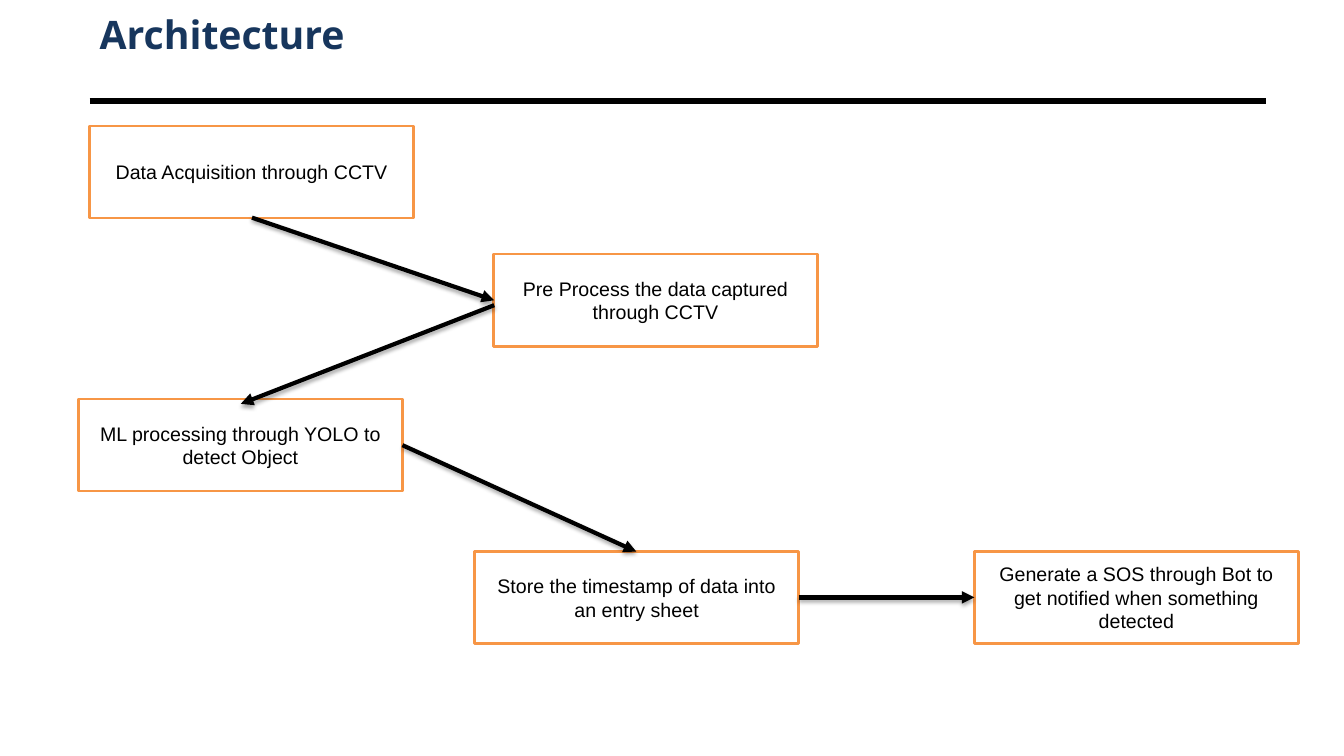
from lxml import etree
from pptx import Presentation
from pptx.dml.color import RGBColor
from pptx.enum import shapes, text
from pptx.oxml import ns
from pptx.util import Pt

COLORS = {"title": "17365D", "black": "000000", "box": "FFFFFF", "border": "F79646"}
BOX_W, BOX_H = 231.5, 65.75
STEPS = [
    ("Data Acquisition through CCTV", 64, 90),
    ("Pre Process the data captured through CCTV", 352.5, 181.5),
    ("ML processing through YOLO to detect Object", 56, 285),
    ("Store the timestamp of data into an entry sheet", 339, 394),
    ("Generate a SOS through Bot to get notified when something detected", 696, 394),
]
ARROWS = [
    (180, 155.5, 353, 214.5),
    (353, 218, 172, 288.5),
    (287.5, 318, 454.5, 394),
    (570.5, 426.75, 696, 426.75),
]


def rgb(name):
    return RGBColor.from_string(COLORS[name])


def write(shape, words, color, align, **font):
    tf = shape.text_frame
    frame = {"word_wrap": True, "auto_size": text.MSO_AUTO_SIZE.NONE,
             "vertical_anchor": text.MSO_ANCHOR.MIDDLE}
    for name, value in frame.items():
        setattr(tf, name, value)
    p = tf.paragraphs[0]
    p.alignment = align
    r = p.add_run()
    r.text = words
    for name, value in font.items():
        setattr(r.font, name, value)
    r.font.color.rgb = rgb(color)


def add_title(s, words):
    title = s.shapes.title
    place = {"left": 64, "top": 5.5, "width": 840, "height": 38}
    for name, value in place.items():
        setattr(title, name, Pt(value))
    write(title, words, "title", text.PP_ALIGN.LEFT,
          name="Open Sans", size=Pt(28), bold=True)


def add_step(s, words, left, top):
    sp = s.shapes.add_shape(shapes.MSO_SHAPE.RECTANGLE,
                            Pt(left), Pt(top), Pt(BOX_W), Pt(BOX_H))
    sp.shadow.inherit = False
    sp.fill.solid()
    sp.fill.fore_color.rgb = rgb("box")
    sp.line.color.rgb = rgb("border")
    sp.line.width = Pt(2)
    write(sp, words, "black", text.PP_ALIGN.CENTER, name="Arial", size=Pt(14))


def add_line(s, ends, width):
    """Draw a straight black line and return it with its empty effect list."""
    line = s.shapes.add_connector(shapes.MSO_CONNECTOR.STRAIGHT, *map(Pt, ends))
    line.line.color.rgb = rgb("black")
    line.line.width = Pt(width)
    effects = etree.SubElement(line._element.spPr, ns.qn("a:effectLst"))
    return line, effects


def add_arrow(s, ends):
    arrow, effects = add_line(s, ends, 3)
    etree.SubElement(arrow.line._get_or_add_ln(), ns.qn("a:tailEnd"), type="triangle")
    shadow = etree.SubElement(effects, ns.qn("a:outerShdw"), blurRad=str(Pt(3.1)),
                              dist=str(Pt(1.8)), dir="5400000", rotWithShape="0")
    color = etree.SubElement(shadow, ns.qn("a:srgbClr"), val=COLORS["black"])
    etree.SubElement(color, ns.qn("a:alpha"), val="35000")


def main():
    prs = Presentation()
    prs.slide_width, prs.slide_height = Pt(960), Pt(540)
    s = prs.slides.add_slide(prs.slide_layouts.get_by_name("Title Only"))
    add_title(s, "Architecture")
    add_line(s, (64, 72, 904, 72), 4.5)
    for step in STEPS:
        add_step(s, *step)
    for ends in ARROWS:
        add_arrow(s, ends)
    prs.save("out.pptx")


if __name__ == "__main__":
    main()
